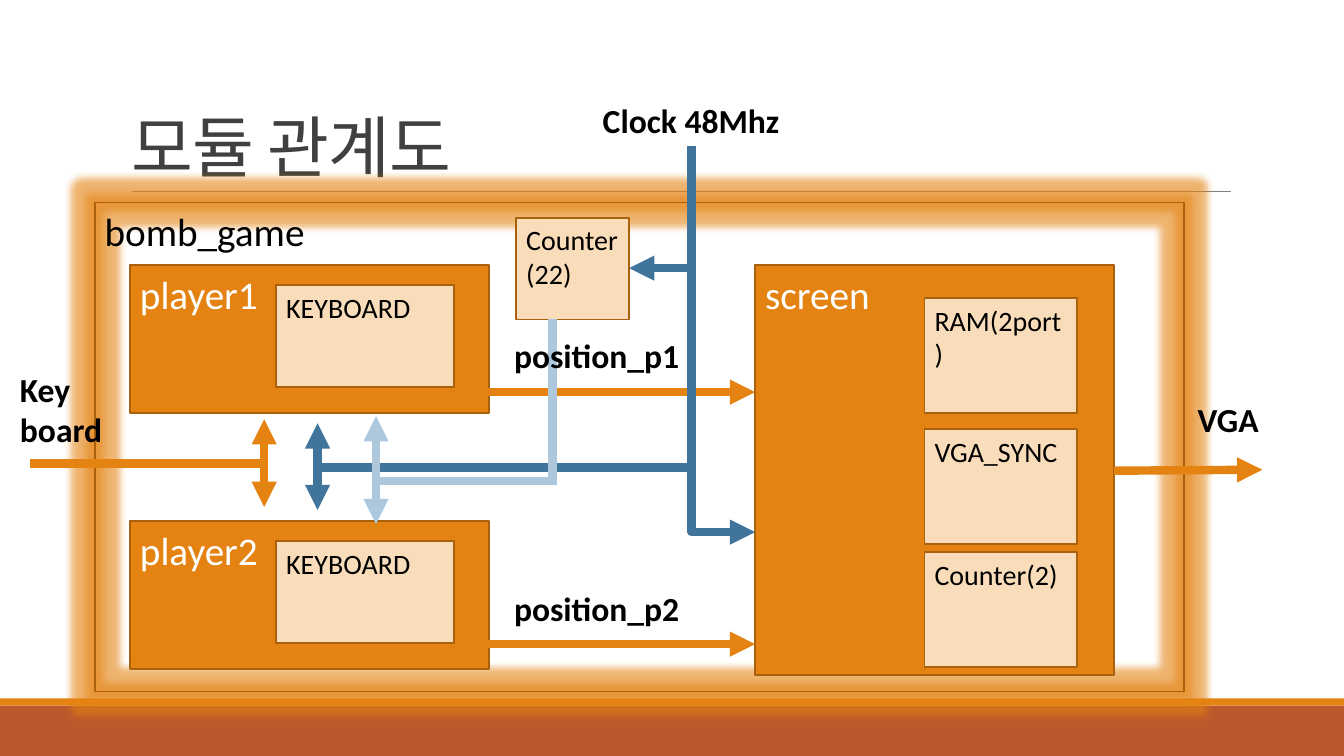
from lxml import etree
from pptx import Presentation
from pptx.dml.color import RGBColor
from pptx.enum.shapes import MSO_CONNECTOR, MSO_SHAPE
from pptx.enum.text import MSO_ANCHOR, MSO_AUTO_SIZE, PP_ALIGN
from pptx.oxml.ns import qn
from pptx.util import Inches, Pt

RECTANGLE = MSO_SHAPE.RECTANGLE
STRAIGHT, ELBOW = MSO_CONNECTOR.STRAIGHT, MSO_CONNECTOR.ELBOW
TOP, BOTTOM, LEFT = MSO_ANCHOR.TOP, MSO_ANCHOR.BOTTOM, PP_ALIGN.LEFT

ORANGE = RGBColor(0xE4, 0x83, 0x12)
BROWN = RGBColor(0xA9, 0x61, 0x0D)
RUST = RGBColor(0xBD, 0x58, 0x2C)
CREAM = RGBColor(0xF9, 0xDC, 0xB9)
BLUE = RGBColor(0x40, 0x74, 0x9B)
PALE_BLUE = RGBColor(0xAD, 0xC8, 0xDD)
GRAY = RGBColor(0x80, 0x80, 0x80)
DARK = RGBColor(0x40, 0x40, 0x40)
BLACK = RGBColor(0, 0, 0)
WHITE = RGBColor(0xFF, 0xFF, 0xFF)

SLIDE_W, SLIDE_H = 13.33, 7.5
FONT = "Calibri"
TITLE = "모듈 관계도"
TITLE_AT = (1.2, 0.31, 11, 1.59)
FRAME = ("bomb_game", (0.94, 2.01, 10.8, 4.85))

# Modules: left, top, width, height in inches
PLAYER_TOP, PLAYER_STEP = 2.63, 2.54
PLAYERS = ["player1", "player2"]
SCREEN = ("screen", (7.49, PLAYER_TOP, 3.56, 4.07))
SCREEN_PARTS = [("RAM(2port)", 2.96), ("VGA_SYNC", 4.26), ("Counter(2)", 5.48)]
COUNTER = ("Counter(22)", (5.12, 2.16, 1.12, 1.01))

LABELS = [
    ("VGA", (11.78, 3.91, 0.81, 0.5)),
    ("Key\nboard", (0.1, 3.61, 1.03, 0.91)),
    ("position_p2", (5, 5.78, 1.86, 0.5)),
    ("Clock 48Mhz", (5.88, 0.94, 1.97, 0.5)),
    ("position_p1", (5, 3.27, 1.86, 0.5)),
]

# Wires: kind, start, end, colour, end that carries the arrowhead
WIRES = [
    (STRAIGHT, (11.05, 4.67), (12.52, 4.66), ORANGE, "tailEnd"),
    (STRAIGHT, (4.84, 6.39), (7.49, 6.39), ORANGE, "tailEnd"),
    (STRAIGHT, (4.84, 3.89), (7.49, 3.89), ORANGE, "tailEnd"),
    (ELBOW, (0.3, 4.6), (2.62, 5.03), ORANGE, "tailEnd"),
    (ELBOW, (0.3, 4.6), (2.62, 4.16), ORANGE, "tailEnd"),
    (ELBOW, (7.49, 5.28), (6.86, 1.45), BLUE, "headEnd"),
    (STRAIGHT, (6.86, 2.66), (6.24, 2.66), BLUE, "tailEnd"),
    (ELBOW, (6.86, 4.64), (3.15, 5.06), BLUE, "tailEnd"),
    (ELBOW, (6.86, 4.64), (3.15, 4.2), BLUE, "tailEnd"),
    (ELBOW, (5.48, 4.77), (3.73, 5.2), PALE_BLUE, "tailEnd"),
    (ELBOW, (5.48, 4.77), (3.73, 4.13), PALE_BLUE, "tailEnd"),
    (STRAIGHT, (5.48, 4.81), (5.48, 3.16), PALE_BLUE, None),
]


def inches(values):
    return [Inches(value) for value in values]


def write(frame, text, size, color, bold=False):
    frame.text = text
    for paragraph in frame.paragraphs:
        paragraph.alignment = LEFT
        for name, value in {"name": FONT, "size": Pt(size), "bold": bold}.items():
            setattr(paragraph.font, name, value)
        paragraph.font.color.rgb = color


def add_box(slide, at, fill, text="", size=28, color=WHITE, outline=BROWN):
    box = slide.shapes.add_shape(RECTANGLE, *inches(at))
    box.shadow.inherit = False
    if fill is None:
        box.fill.background()
    else:
        box.fill.solid()
        box.fill.fore_color.rgb = fill
    if outline is None:
        box.line.fill.background()
    else:
        box.line.color.rgb = outline
        box.line.width = Pt(1.25)
    if text:
        write(box.text_frame, text, size, color)
        box.text_frame.word_wrap = True
        box.text_frame.vertical_anchor = TOP
    return box


def add_part(slide, text, at):
    """Add a small module that sits inside a larger one."""
    add_box(slide, at, CREAM, text, 20, BLACK)


def add_glow(box, radius, opacity):
    effects = box._element.spPr.find(qn("a:effectLst"))
    glow = etree.SubElement(effects, qn("a:glow"), rad=str(Pt(radius)))
    color = etree.SubElement(glow, qn("a:srgbClr"), val=str(ORANGE))
    etree.SubElement(color, qn("a:alpha"), val=str(opacity * 1000))


def add_label(slide, text, at):
    label = slide.shapes.add_textbox(*inches(at))
    write(label.text_frame, text, 24, BLACK, True)
    label.text_frame.word_wrap = False


def add_wire(slide, kind, start, end, color, arrow=None, width=6):
    """Add a line; an elbow runs sideways first and turns at its far end."""
    wire = slide.shapes.add_connector(kind, *inches(start + end))
    wire.line.color.rgb = color
    wire.line.width = Pt(width)
    properties = wire._element.spPr
    if kind == ELBOW:
        geometry = properties.find(qn("a:prstGeom"))
        adjustments = geometry.find(qn("a:avLst"))
        if adjustments is None:
            adjustments = etree.SubElement(geometry, qn("a:avLst"))
        etree.SubElement(adjustments, qn("a:gd"), name="adj1", fmla="val 100000")
    if arrow:
        line = properties.find(qn("a:ln"))
        etree.SubElement(line, qn("a:" + arrow), type="triangle")
    etree.SubElement(properties, qn("a:effectLst"))


def add_title(slide):
    title = slide.shapes.title
    title.left, title.top, title.width, title.height = inches(TITLE_AT)
    frame = title.text_frame
    write(frame, TITLE, 48, DARK)
    frame.auto_size = MSO_AUTO_SIZE.NONE
    frame.vertical_anchor = BOTTOM
    paragraph = frame.paragraphs[0]
    paragraph.line_spacing = 0.85
    paragraph.runs[0].font._element.set("spc", "-50")


def main():
    deck = Presentation()
    deck.slide_width, deck.slide_height = inches((SLIDE_W, SLIDE_H))
    slide = deck.slides.add_slide(deck.slide_layouts[5])

    add_box(slide, (0, 7, SLIDE_W, 0.5), RUST, outline=None)
    add_box(slide, (0, 6.93, SLIDE_W, 0.07), ORANGE, outline=None)
    add_wire(slide, STRAIGHT, (1.31, 1.9), (12.21, 1.9), GRAY, width=0.5)
    add_title(slide)

    name, at = FRAME
    add_glow(add_box(slide, at, None, name, color=BLACK), 11, 60)

    name, at = SCREEN
    add_box(slide, at, ORANGE, name)
    for name, top in SCREEN_PARTS:
        add_part(slide, name, (9.17, top, 1.51, 1.14))
    for row, name in enumerate(PLAYERS):
        top = PLAYER_TOP + row * PLAYER_STEP
        add_box(slide, (1.29, top, 3.56, 1.47), ORANGE, name)
        add_part(slide, "KEYBOARD", (2.74, top + 0.2, 1.76, 1.01))
    add_part(slide, *COUNTER)

    for wire in WIRES:
        add_wire(slide, *wire)
    for label in LABELS:
        add_label(slide, *label)
    deck.save("out.pptx")


if __name__ == "__main__":
    main()
